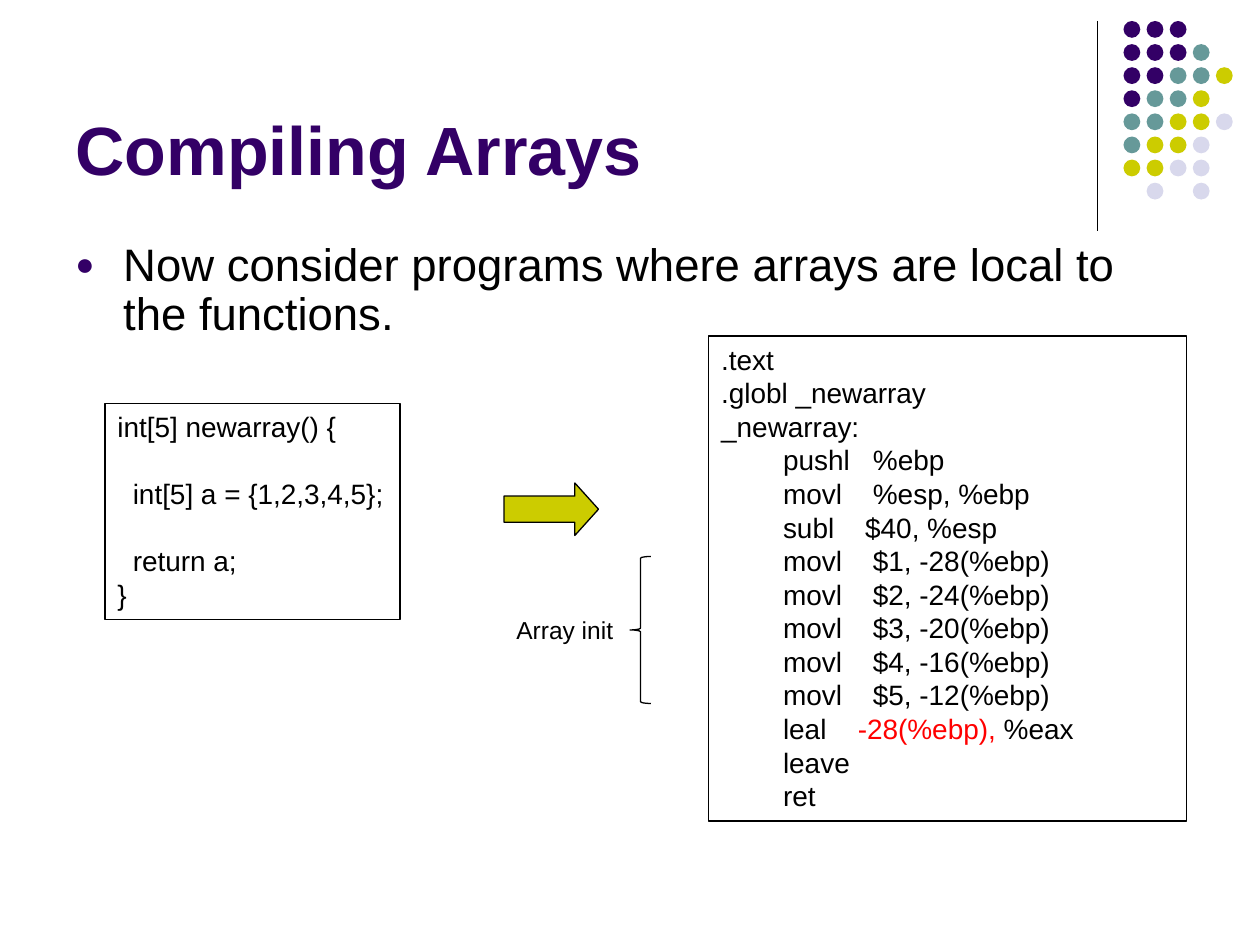
from dataclasses import dataclass

from lxml import etree
from pptx import Presentation
from pptx.dml.color import RGBColor
from pptx.enum.shapes import MSO_CONNECTOR, MSO_SHAPE
from pptx.enum.text import MSO_ANCHOR, MSO_AUTO_SIZE, PP_ALIGN
from pptx.oxml.ns import qn
from pptx.util import Inches, Pt

RECT, OVAL = MSO_SHAPE.RECTANGLE, MSO_SHAPE.OVAL
ARROW, BRACE = MSO_SHAPE.RIGHT_ARROW, MSO_SHAPE.LEFT_BRACE
STRAIGHT = MSO_CONNECTOR.STRAIGHT
TOP, BOTTOM = MSO_ANCHOR.TOP, MSO_ANCHOR.BOTTOM
GROW, FIXED = MSO_AUTO_SIZE.SHAPE_TO_FIT_TEXT, MSO_AUTO_SIZE.NONE
LEFT = PP_ALIGN.LEFT

WIDE, HIGH = 10, 7.5
COLS, ROWS = 60, 45


@dataclass(frozen=True)
class Theme:
    font: str = "Arial"
    ink: str = "000000"
    paper: str = "FFFFFF"
    plum: str = "330066"
    teal: str = "669999"
    lime: str = "CCCC00"
    mist: str = "D8D8EC"
    red: str = "FF0000"
    title: float = 39
    body: float = 26
    code: float = 16
    label: float = 14
    line: float = 0.75


class Page:
    """One slide; all places are in columns and rows of the grid."""

    def __init__(self, deck, theme):
        self.theme = theme
        self.slide = deck.slides.add_slide(deck.slide_layouts[5])
        self.shapes = self.slide.shapes

    def grid(self, left, top, width, height):
        col, row = WIDE / COLS, HIGH / ROWS
        return (Inches(left * col), Inches(top * row),
                Inches(width * col), Inches(height * row))

    def text(self, para, runs, size, color=None, bold=False):
        """Add (text, color) runs; a color of None means the given default."""
        para.alignment = LEFT
        para.font.size = Pt(size)
        for words, tint in runs:
            run = para.add_run()
            run.text = words
            font = run.font
            font.name, font.size, font.bold = self.theme.font, Pt(size), bold
            font.color.rgb = RGBColor.from_string(tint or color or self.theme.ink)

    def frame(self, shape, wrap=True, fit=FIXED, anchor=TOP):
        frame = shape.text_frame
        frame.word_wrap, frame.auto_size = wrap, fit
        frame.vertical_anchor = anchor
        return frame

    def title(self, words, *place):
        shape = self.shapes.title
        shape.left, shape.top, shape.width, shape.height = self.grid(*place)
        frame = self.frame(shape, anchor=BOTTOM)
        self.text(frame.paragraphs[0], [(words, None)], self.theme.title,
                  self.theme.plum, True)

    def bullet(self, words, *place):
        box = self.shapes.add_textbox(*self.grid(*place))
        para = self.frame(box).paragraphs[0]
        props = para._p.get_or_add_pPr()
        props.set("marL", str(Inches(0.38)))
        props.set("indent", str(-Inches(0.38)))
        tint = etree.SubElement(props, qn("a:buClr"))
        etree.SubElement(tint, qn("a:srgbClr"), val=self.theme.plum)
        etree.SubElement(props, qn("a:buSzPct"), val="70000")
        etree.SubElement(props, qn("a:buFont"), typeface=self.theme.font)
        etree.SubElement(props, qn("a:buChar"), char="●")
        para.line_spacing = 0.9
        self.text(para, [(words, None)], self.theme.body)

    def label(self, words, *place):
        box = self.shapes.add_textbox(*self.grid(*place))
        frame = self.frame(box, wrap=False, fit=GROW)
        self.text(frame.paragraphs[0], [(words, None)], self.theme.label)

    def shape(self, kind, place, fill=None, line=True):
        shape = self.shapes.add_shape(kind, *self.grid(*place))
        shape.shadow.inherit = False
        if fill:
            shape.fill.solid()
            shape.fill.fore_color.rgb = RGBColor.from_string(fill)
        else:
            shape.fill.background()
        if line:
            shape.line.color.rgb = RGBColor.from_string(self.theme.ink)
            shape.line.width = Pt(self.theme.line)
        else:
            shape.line.fill.background()
        return shape

    def code(self, lines, place, wrap=True):
        """Draw a framed listing; a line is a string or a list of runs."""
        frame = self.frame(self.shape(RECT, place), wrap, GROW)
        for i, line in enumerate(lines):
            para = frame.add_paragraph() if i else frame.paragraphs[0]
            runs = [(line, None)] if isinstance(line, str) else line
            self.text(para, [run for run in runs if run[0]], self.theme.code)

    def rule(self, left, top, height):
        x, y, _, tall = self.grid(left, top, 0, height)
        rule = self.shapes.add_connector(STRAIGHT, x, y, x, y + tall)
        rule.line.color.rgb = RGBColor.from_string(self.theme.ink)
        rule.line.width = Pt(self.theme.line)
        etree.SubElement(rule._element.spPr, qn("a:effectLst"))

    def dots(self, rows, left, top, step, size):
        """Draw a dot per letter: the first letter of its color's name."""
        theme = self.theme
        tints = {"p": theme.plum, "t": theme.teal, "l": theme.lime, "m": theme.mist}
        for j, row in enumerate(rows):
            for i, key in enumerate(row):
                if key in tints:
                    place = (left + i * step, top + j * step, size, size)
                    self.shape(OVAL, place, tints[key], line=False)


def main():
    deck = Presentation()
    deck.slide_width, deck.slide_height = Inches(WIDE), Inches(HIGH)
    theme = Theme()
    page = Page(deck, theme)

    page.rule(52.25, 1, 10)
    page.dots(["ppp", "pppt", "ppttl", "pttl", "ttllm", "tllm", "llmm", ".m.m"],
              53.5, 1, 1.1, 0.8)
    page.title("Compiling Arrays", 3, 0.8, 49.5, 8.5)
    page.bullet("Now consider programs where arrays are local to the functions.",
                3, 11.25, 54, 4.75)

    page.code(["int[5] newarray() {", "", "  int[5] a = {1,2,3,4,5};", "",
               "  return a;", "}"], (5, 19.2, 14.05, 10.3), wrap=False)

    tab = " " * 8
    fills = [f"{tab}movl    ${n}, {4 * n - 32}(%ebp)" for n in range(1, 6)]
    page.code([".text", ".globl _newarray", "_newarray:",
               tab + "pushl   %ebp", tab + "movl    %esp, %ebp",
               tab + "subl    $40, %esp", *fills,
               [(tab + "leal    ", None), ("-28(%ebp),", theme.red), (" %eax", None)],
               tab + "leave", tab + "ret"], (33.75, 16, 22.75, 23.1))

    arrow = page.shape(ARROW, (24, 23, 4.5, 2.5), theme.lime)
    arrow.adjustments[0], arrow.adjustments[1] = 0.5, 0.45
    page.shape(BRACE, (30, 26.5, 1, 7), theme.paper)
    page.label("Array init", 24, 29, 5.9, 2.05)

    deck.save("out.pptx")


if __name__ == "__main__":
    main()
